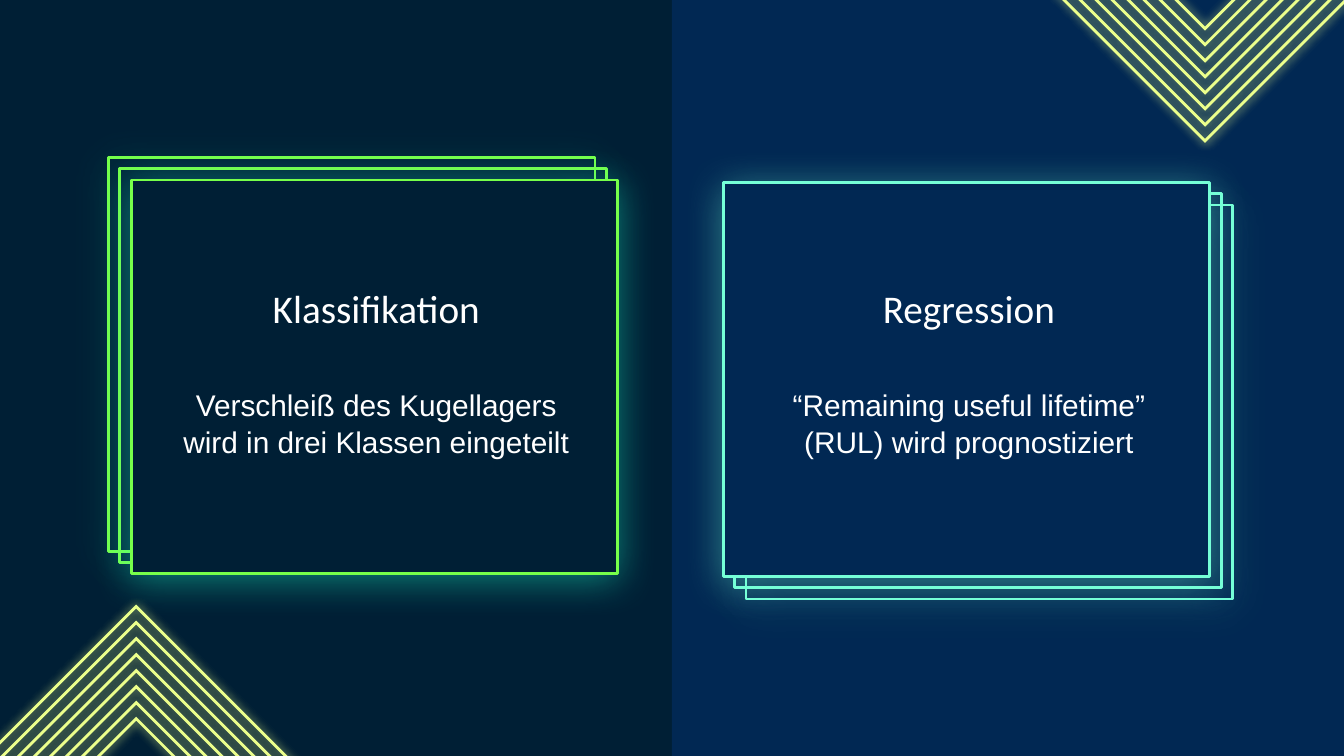
from lxml import etree
from pptx import Presentation
from pptx.dml.color import RGBColor
from pptx.enum import shapes as kinds, text as txt
from pptx.oxml.ns import qn
from pptx.util import Pt

NIGHT = RGBColor(0x00, 0x1F, 0x35)
NAVY = RGBColor(0x01, 0x28, 0x53)
YELLOW = RGBColor(0xEC, 0xFF, 0x8C)
GREEN = RGBColor(0x77, 0xFF, 0x4A)
MINT = RGBColor(0x1F, 0xFF, 0xCE)
AQUA = RGBColor(0x75, 0xFF, 0xD7)
WHITE = RGBColor(0xFF, 0xFF, 0xFF)

# Content: one card per learning task; idx are (heading, body) placeholders
CARDS = [
    dict(heading="Regression",
         body="“Remaining useful lifetime” (RUL) wird prognostiziert",
         idx=(2, 3), front=(387.4, 97.7), text_left=404.6, shift=6.1,
         fill=NAVY, line=AQUA, glow=AQUA),
    dict(heading="Klassifikation",
         body="Verschleiß des Kugellagers wird in drei Klassen eingeteilt",
         idx=(0, 1), front=(70.3, 96.5), text_left=87.1, shift=-6.1,
         fill=NIGHT, line=GREEN, glow=MINT),
]

# Layout in points
WIDTH, HEIGHT = 720, 405
CARD_W, CARD_H = 260.7, 211
TEXT_W = 229
HEADING_TOP, HEADING_H = 154.1, 21.6
BODY_TOP, BODY_H = 194.4, 63.4
DIAMOND_CENTRES = [(645.6, -58.8), (73, 459.2)]
DIAMOND_SIZE, DIAMOND_STEP, DIAMOND_COUNT = 268.5, 17.17, 8


def add_glow(shape, color, alpha, blur, distance=0, direction=0):
    effects = etree.SubElement(shape._element.spPr, qn("a:effectLst"))
    shadow = etree.SubElement(
        effects, qn("a:outerShdw"), blurRad=str(Pt(blur)), dist=str(Pt(distance)),
        dir=str(direction * 60000), algn="bl", rotWithShape="0")
    tint = etree.SubElement(shadow, qn("a:srgbClr"), val=str(color))
    etree.SubElement(tint, qn("a:alpha"), val=str(alpha * 1000))


def add_outline(kind, left, top, width, height, line, fill=None):
    shape = slide.shapes.add_shape(kind, Pt(left), Pt(top), Pt(width), Pt(height))
    if fill is None:
        shape.fill.background()
    else:
        shape.fill.solid()
        shape.fill.fore_color.rgb = fill
    if line is None:
        shape.line.fill.background()
    else:
        shape.line.color.rgb = line
        shape.line.width = Pt(1.5)
    return shape


def place_text(idx, words, left, top, height, font, size, spacing):
    holder = slide.placeholders[idx]
    holder.left, holder.top = Pt(left), Pt(top)
    holder.width, holder.height = Pt(TEXT_W), Pt(height)
    frame = holder.text_frame
    frame.text = words
    frame.word_wrap = True
    frame.auto_size = txt.MSO_AUTO_SIZE.NONE
    frame.vertical_anchor = txt.MSO_ANCHOR.MIDDLE
    frame.margin_left = frame.margin_right = Pt(7.2)
    frame.margin_top = frame.margin_bottom = Pt(7.2)
    paragraph = frame.paragraphs[0]
    paragraph.alignment = txt.PP_ALIGN.CENTER
    paragraph.line_spacing = spacing
    paragraph.space_before = Pt(0)
    properties = paragraph._p.get_or_add_pPr()
    properties.set("marL", "0")
    properties.set("indent", "0")
    etree.SubElement(properties, qn("a:buNone"))
    run_font = paragraph.runs[0].font
    run_font.name, run_font.size, run_font.bold = font, Pt(size), False
    run_font.color.rgb = WHITE
    slide.shapes._spTree.append(holder._element)  # bring in front of its card


prs = Presentation()
prs.slide_width, prs.slide_height = Pt(WIDTH), Pt(HEIGHT)
slide = prs.slides.add_slide(prs.slide_layouts[4])
unused = slide.placeholders[4]._element
unused.getparent().remove(unused)

# Two-tone background
slide.background.fill.solid()
slide.background.fill.fore_color.rgb = NIGHT
right_half = add_outline(kinds.MSO_SHAPE.RECTANGLE, WIDTH / 2, 0, WIDTH / 2, HEIGHT,
                         None, NAVY)
right_half.shadow.inherit = False

# Nested diamonds running off two corners
for x, y in DIAMOND_CENTRES:
    for ring in range(DIAMOND_COUNT):
        side = DIAMOND_SIZE - ring * DIAMOND_STEP
        diamond = add_outline(kinds.MSO_SHAPE.DIAMOND, x - side / 2, y - side / 2,
                              side, side, YELLOW)
        etree.SubElement(diamond.line._ln, qn("a:miter"), lim="800000")
        add_glow(diamond, YELLOW, 90, 5.6)

# Stacked cards, back to front, then their text
for card in CARDS:
    left, top = card["front"]
    for depth in (2, 1, 0):
        offset = depth * card["shift"]
        sheet = add_outline(kinds.MSO_SHAPE.RECTANGLE, left + offset, top + offset,
                            CARD_W, CARD_H, card["line"],
                            card["fill"] if depth == 0 else None)
        add_glow(sheet, card["glow"], 38, 21.4, 3, 90)
    heading_idx, body_idx = card["idx"]
    place_text(heading_idx, card["heading"], card["text_left"], HEADING_TOP, HEADING_H,
               "Calibri", 21, 1.0)
    place_text(body_idx, card["body"], card["text_left"], BODY_TOP, BODY_H,
               "Arial", 16, 1.05)

prs.save("out.pptx")
